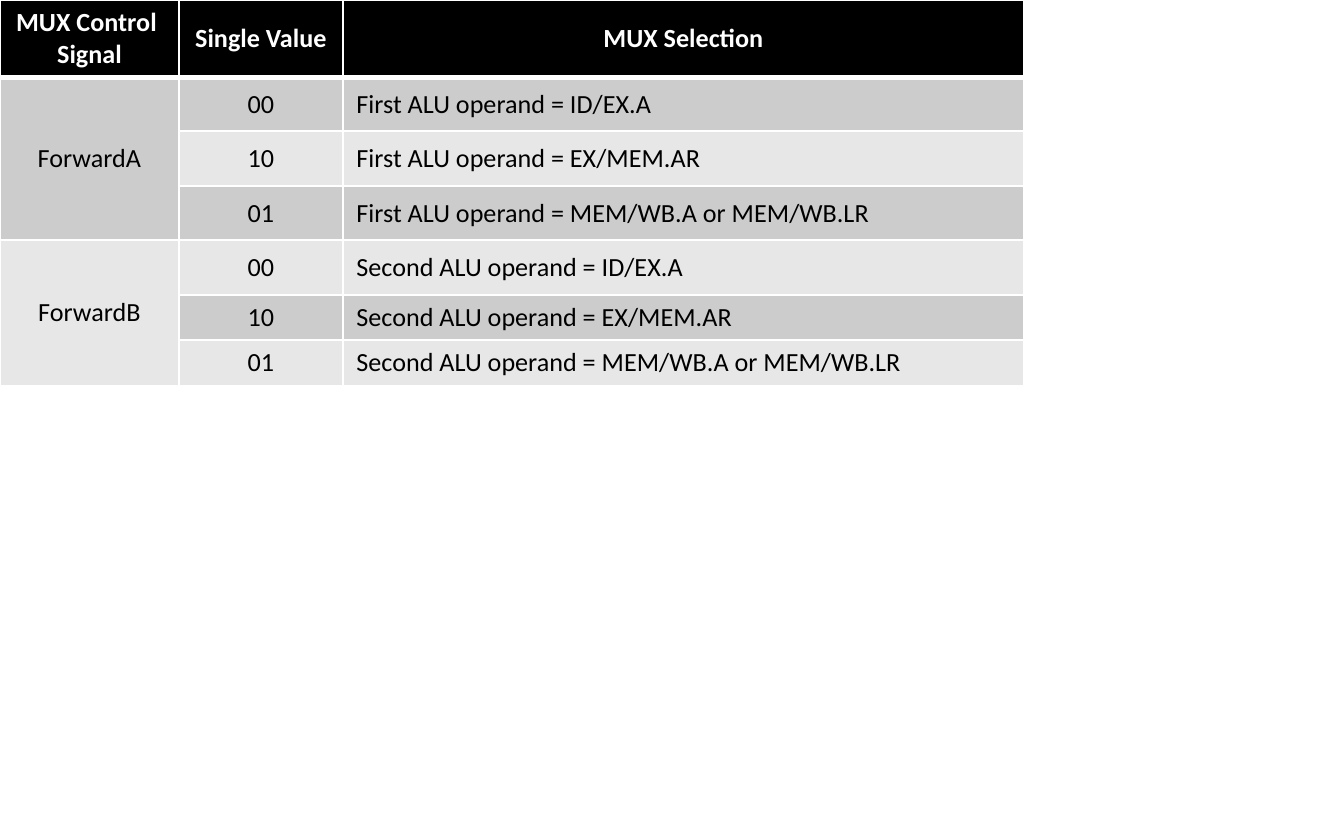
import pptx
import pptx.dml.color
import pptx.enum.text
import pptx.oxml
import pptx.oxml.ns
import pptx.util
from lxml import etree

EMU_PER_PIXEL = 914400 / 134.4
ALIGN = pptx.enum.text.PP_ALIGN


def pixels(length):
    """Turn whole pixels into EMU."""
    return pptx.util.Emu(round(length * EMU_PER_PIXEL))


def color(value):
    """Turn a hex string into a colour."""
    return pptx.dml.color.RGBColor.from_string(value)


class SlideBuilder:
    """Holds the style and the current slide."""

    font = "Calibri"
    size = 14
    border = "FFFFFF"

    def __init__(self, presentation):
        """Add a blank slide."""
        self.slide = presentation.slides.add_slide(presentation.slide_layouts[6])

    def table(self, left, top, widths, heights):
        """Add a table with the given column widths and row heights."""
        frame = self.slide.shapes.add_table(
            len(heights), len(widths), pixels(left), pixels(top),
            pixels(sum(widths)), pixels(sum(heights)))
        table = frame.table
        for column, width in zip(table.columns, widths):
            column.width = pixels(width)
        for row, height in zip(table.rows, heights):
            row.height = pixels(height)
        return table

    def cell(self, cell, lines, fill, ink="000000", bold=False, align=ALIGN.CENTER):
        """Fill a cell and write one paragraph per line."""
        cell.fill.solid()
        cell.fill.fore_color.rgb = color(fill)
        cell.vertical_anchor = pptx.enum.text.MSO_ANCHOR.MIDDLE
        for index, line in enumerate(lines):
            text_frame = cell.text_frame
            paragraph = text_frame.add_paragraph() if index else text_frame.paragraphs[0]
            paragraph.alignment = align
            run = paragraph.add_run()
            run.text = line
            run.font.name = self.font
            run.font.size = pptx.util.Pt(self.size)
            run.font.bold = bold
            run.font.color.rgb = color(ink)

    def borders(self, cell, top=1, bottom=1):
        """Draw the four cell borders, widths in points."""
        properties = cell._tc.get_or_add_tcPr()
        sides = {"lnL": 1, "lnR": 1, "lnT": top, "lnB": bottom}
        for index, (side, width) in enumerate(sides.items()):
            line = etree.Element(pptx.oxml.ns.qn("a:" + side), w=str(pptx.util.Pt(width)))
            fill = etree.SubElement(line, pptx.oxml.ns.qn("a:solidFill"))
            etree.SubElement(fill, pptx.oxml.ns.qn("a:srgbClr"), val=self.border)
            properties.insert(index, line)


HEADERS = [["MUX Control ", "Signal"], ["Single Value"], ["MUX Selection"]]
SIGNALS = [("ForwardA", "First"), ("ForwardB", "Second")]
SOURCES = [("00", "ID/EX.A"), ("10", "EX/MEM.AR"), ("01", "MEM/WB.A or MEM/WB.LR")]
BANDS = ["CCCCCC", "E7E7E7"]

presentation = pptx.Presentation()
presentation.slide_width = pixels(1344)
presentation.slide_height = pixels(840)
builder = SlideBuilder(presentation)

mux_table = builder.table(0, 0, [179, 164, 681], [77, 54, 55, 54, 55, 45, 45])
for column, lines in enumerate(HEADERS):
    builder.cell(mux_table.cell(0, column), lines, "000000", "FFFFFF", True)

for group, (signal, operand) in enumerate(SIGNALS):
    first = 1 + group * len(SOURCES)
    signal_cell = mux_table.cell(first, 0)
    signal_cell.merge(mux_table.cell(first + len(SOURCES) - 1, 0))
    builder.cell(signal_cell, [signal], BANDS[group])
    for row, (value, source) in enumerate(SOURCES, first):
        band = BANDS[(row - 1) % 2]
        builder.cell(mux_table.cell(row, 1), [value], band)
        builder.cell(mux_table.cell(row, 2), [f"{operand} ALU operand = {source}"],
                     band, align=ALIGN.LEFT)

for index, row in enumerate(mux_table.rows):
    for cell in row.cells:
        builder.borders(cell, top=3 if index == 1 else 1, bottom=3 if index == 0 else 1)

presentation.save("out.pptx")
